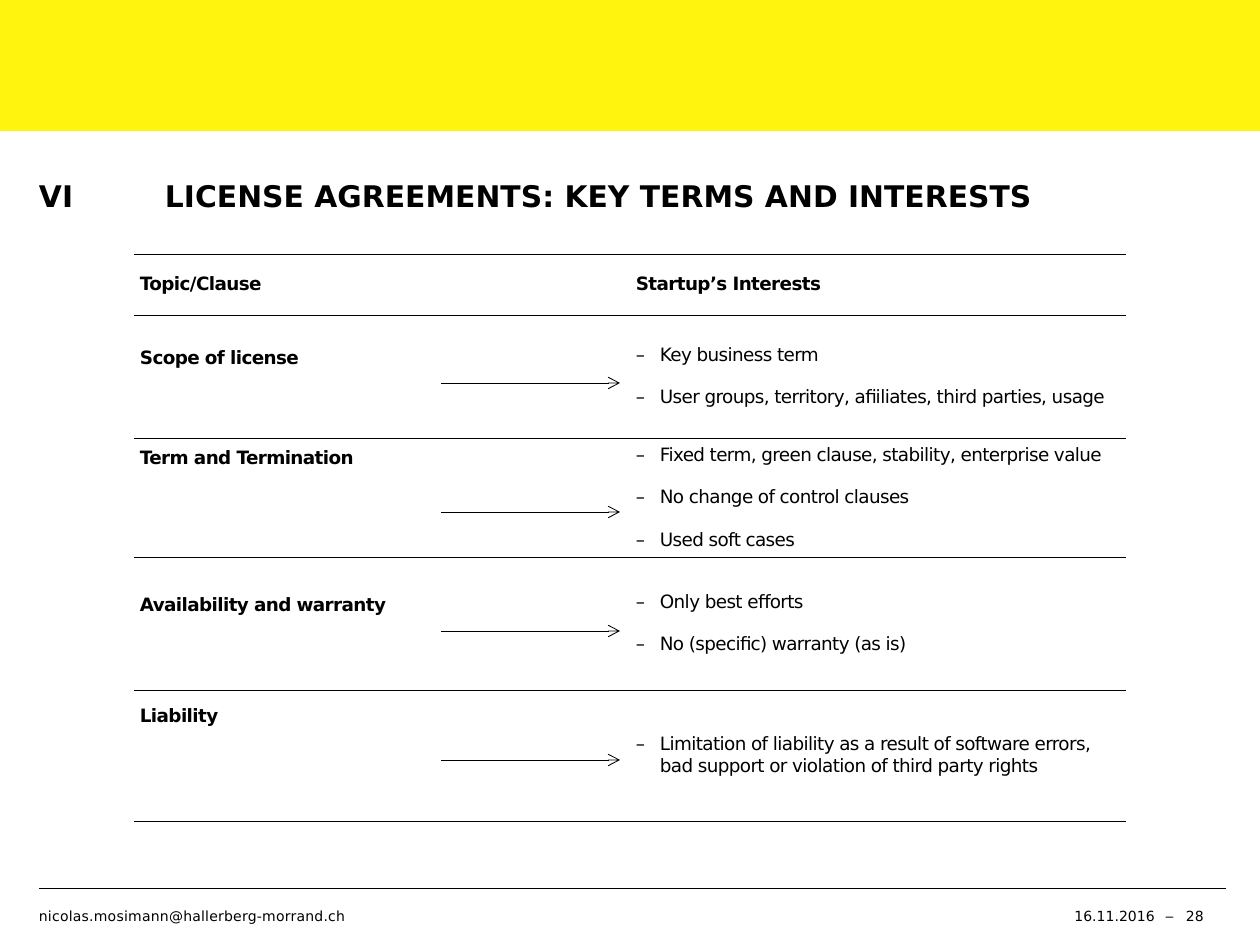
from lxml import etree
from pptx import Presentation
from pptx import util as u
from pptx.dml import color
from pptx.enum import shapes, text
from pptx.oxml import ns

PX = 914400 / 126
FONT = "DejaVu Sans"
COLORS = {"band": "FFF40E", "ink": "000000"}
HEADINGS = ("Topic/Clause", "Startup’s Interests")
CLAUSES = [
    ("Scope of license", 123, 33,
     ["Key business term", "User groups, territory, afiiliates, third parties, usage"]),
    ("Term and Termination", 119, 10,
     ["Fixed term, green clause, stability, enterprise value",
      "No change of control clauses", "Used soft cases"]),
    ("Availability and warranty", 133, 38,
     ["Only best efforts", "No (specific) warranty (as is)"]),
    ("Liability", 131, 16,
     ["Limitation of liability as a result of software errors, "
      "bad support or violation of third party rights"]),
]


def px(length):
    return u.Emu(round(length * PX))


def rgb(name):
    return color.RGBColor.from_string(COLORS[name])


def add_xml(parent, tag, **attributes):
    return etree.SubElement(parent, ns.qn(tag), attributes)


def style(paragraph, size, bold=False, spacing=0):
    for run in paragraph.runs:
        run.font.name = FONT
        run.font.size = u.Pt(size)
        run.font.bold = bold
        run.font.color.rgb = rgb("ink")
        if spacing:
            run.font._element.set("spc", str(spacing))


def clear_insets(frame):
    frame.margin_left = frame.margin_right = frame.margin_top = frame.margin_bottom = 0
    frame.vertical_anchor = text.MSO_ANCHOR.MIDDLE
    frame.word_wrap = True


def add_rule(slide, left, top, width, arrow=False):
    rule = slide.shapes.add_connector(
        shapes.MSO_CONNECTOR.STRAIGHT, px(left), px(top), px(left + width), px(top))
    rule.line.color.rgb = rgb("ink")
    rule.line.width = u.Pt(0.5)
    if arrow:
        add_xml(rule.line._get_or_add_ln(), "a:tailEnd", type="arrow")
    add_xml(rule._element.spPr, "a:effectLst")


def add_band(slide, left, top, width, height):
    band = slide.shapes.add_shape(
        shapes.MSO_SHAPE.RECTANGLE, px(left), px(top), px(width), px(height))
    band.shadow.inherit = False
    band.fill.solid()
    band.fill.fore_color.rgb = rgb("band")
    band.line.fill.background()


def set_title(slide, left, top, width, height):
    title = slide.shapes.title
    title.left, title.top, title.width, title.height = map(px, (left, top, width, height))
    frame = title.text_frame
    frame.text = "VI\tLICENSE AGREEMENTS: KEY TERMS AND INTERESTS"
    clear_insets(frame)
    frame.auto_size = text.MSO_AUTO_SIZE.NONE
    heading = frame.paragraphs[0]
    heading.alignment = text.PP_ALIGN.LEFT
    stops = add_xml(heading._p.get_or_add_pPr(), "a:tabLst")
    add_xml(stops, "a:tab", pos=str(px(126)), algn="l")
    style(heading, 17, bold=True)


def add_footer(slide, left, top, width):
    add_rule(slide, left, top, width)
    align = text.PP_ALIGN
    parts = [
        (0, 804, "nicolas.mosimann@hallerberg-morrand.ch", align.LEFT, 10),
        (925, 191, "16.11.2016", align.RIGHT, 0),
        (1122, 17, "‒", align.CENTER, 0),
        (1147, 34, "28", align.LEFT, 0),
    ]
    for offset, part_width, wording, alignment, spacing in parts:
        part = slide.shapes.add_textbox(
            px(left + offset), px(top + 18), px(part_width), px(20))
        part.text_frame.text = wording
        clear_insets(part.text_frame)
        line = part.text_frame.paragraphs[0]
        line.alignment = alignment
        style(line, 8, spacing=spacing)


def format_cell(cell):
    cell.margin_left = cell.margin_right = cell.margin_top = cell.margin_bottom = px(6)
    cell.vertical_anchor = text.MSO_ANCHOR.MIDDLE
    cell.fill.background()
    properties = cell._tc.get_or_add_tcPr()
    for place, side in enumerate(("a:lnL", "a:lnR", "a:lnT", "a:lnB")):
        border = add_xml(properties, side, w=str(u.Pt(0.25)))
        if place < 2:
            add_xml(border, "a:noFill")
        else:
            fill = add_xml(border, "a:solidFill")
            add_xml(fill, "a:srgbClr", val=COLORS["ink"])
        properties.insert(place, border)


def fill_label(cell, wording):
    cell.text = wording
    format_cell(cell)
    style(cell.text_frame.paragraphs[0], 10.5, bold=True, spacing=-30)


def fill_interests(cell, interests):
    cell.text = "\n".join(interests)
    format_cell(cell)
    points = cell.text_frame.paragraphs
    for point in points:
        properties = point._p.get_or_add_pPr()
        properties.set("marL", str(px(24)))
        properties.set("indent", str(-px(24)))
        add_xml(properties, "a:buFont", typeface=FONT)
        add_xml(properties, "a:buChar", char="–")
        style(point, 10.5, spacing=-30)
    for point in points[:-1]:
        point.space_after = u.Pt(12)


def add_clauses(slide, left, top, width, header_height):
    height = header_height + sum(clause[1] for clause in CLAUSES)
    table = slide.shapes.add_table(
        len(CLAUSES) + 1, 2, px(left), px(top), px(width), px(height)).table
    table.first_row = table.horz_banding = False
    style_id = table._tbl.tblPr.find(ns.qn("a:tableStyleId"))
    style_id.text = "{2D5ABB26-0587-4C30-8999-92F81FD0307C}"
    table.rows[0].height = px(header_height)
    for column, heading in enumerate(HEADINGS):
        table.columns[column].width = px(width / 2)
        fill_label(table.cell(0, column), heading)
    for row, (topic, row_height, label_drop, interests) in enumerate(CLAUSES, 1):
        table.rows[row].height = px(row_height)
        label = table.cell(row, 0)
        fill_label(label, topic)
        label.vertical_anchor = text.MSO_ANCHOR.TOP
        label.margin_top = px(label_drop)
        fill_interests(table.cell(row, 1), interests)
    for arrow_drop in (129, 258, 377, 506):
        add_rule(slide, left + 307, top + arrow_drop, 179, arrow=True)


def main():
    deck = Presentation()
    deck.slide_width, deck.slide_height = px(1260), px(945)
    slide = deck.slides.add_slide(deck.slide_layouts[5])
    add_band(slide, 0, 0, 1260, 131)
    set_title(slide, 39, 159, 1086, 74)
    add_clauses(slide, 134, 254, 992, 61)
    add_footer(slide, 39, 888, 1187)
    deck.save("out.pptx")


if __name__ == "__main__":
    main()
